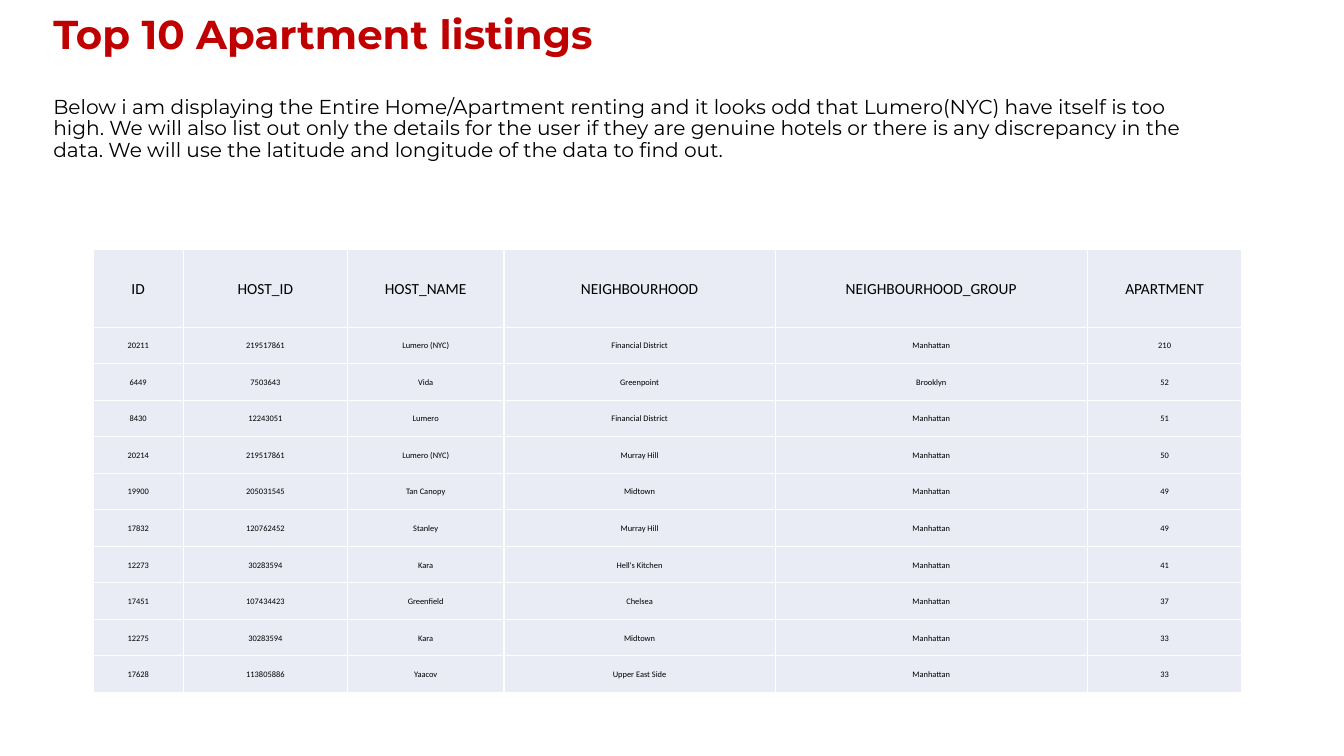
from dataclasses import dataclass
from lxml.etree import SubElement
from pptx import Presentation
from pptx.dml.color import RGBColor as RGB
from pptx.enum.text import MSO_ANCHOR as ANCHOR, PP_ALIGN as ALIGN
from pptx.oxml.ns import qn
from pptx.util import Pt

# Content
TITLE = "Top 10 Apartment listings"
INTRO = (
    "Below i am displaying the Entire Home/Apartment renting and it looks odd that "
    "Lumero(NYC) have itself is too high. We will also list out only the details for "
    "the user if they are genuine hotels or there is any discrepancy in the data. "
    "We will use the latitude and longitude of the data to find out."
)
HEADER = ("ID", "HOST_ID", "HOST_NAME", "NEIGHBOURHOOD", "NEIGHBOURHOOD_GROUP", "APARTMENT")
LISTINGS = [
    ("20211", "219517861", "Lumero (NYC)", "Financial District", "Manhattan", "210"),
    ("6449", "7503643", "Vida", "Greenpoint", "Brooklyn", "52"),
    ("8430", "12243051", "Lumero", "Financial District", "Manhattan", "51"),
    ("20214", "219517861", "Lumero (NYC)", "Murray Hill", "Manhattan", "50"),
    ("19900", "205031545", "Tan Canopy", "Midtown", "Manhattan", "49"),
    ("17832", "120762452", "Stanley", "Murray Hill", "Manhattan", "49"),
    ("12273", "30283594", "Kara", "Hell's Kitchen", "Manhattan", "41"),
    ("17451", "107434423", "Greenfield", "Chelsea", "Manhattan", "37"),
    ("12275", "30283594", "Kara", "Midtown", "Manhattan", "33"),
    ("17628", "113805886", "Yaacov", "Upper East Side", "Manhattan", "33"),
]

# Layout, in points
HEADING_BOX = (31, 10.8, 828, 104.4)
INTRO_GAP = 27.6
TABLE_LEFT, TABLE_TOP = 66.4, 178
COL_WIDTHS = (64.6, 117.2, 111.8, 193.8, 223, 110.4)
HEADER_HEIGHT, ROW_HEIGHT = 55.8, 26.1
CELL_INSET = 0.7


@dataclass(frozen=True)
class Theme:
    red: RGB = RGB(0xC0, 0x00, 0x00)
    black: RGB = RGB(0x00, 0x00, 0x00)
    cell: RGB = RGB(0xE9, 0xEB, 0xF5)
    border: str = "FFFFFF"
    heading_font: str = "Montserrat"
    table_font: str = "Calibri"
    title_size: float = 28.8
    intro_size: float = 14.4
    header_size: float = 11
    row_size: float = 6


THEME = Theme()


def style(p, name, size, color, bold=False):
    font = p.font
    font.name, font.size, font.bold = name, Pt(size), bold
    font.color.rgb = color


def add_borders(cell):
    tc_pr = cell._tc.get_or_add_tcPr()
    for side in ("lnL", "lnR", "lnT", "lnB"):
        ln = SubElement(tc_pr, qn(f"a:{side}"), w=str(Pt(1)))
        fill = SubElement(ln, qn("a:solidFill"))
        SubElement(fill, qn("a:srgbClr"), val=THEME.border)


def fill_cell(cell, text, size):
    add_borders(cell)
    cell.fill.solid()
    cell.fill.fore_color.rgb = THEME.cell
    cell.margin_left = cell.margin_right = cell.margin_top = Pt(CELL_INSET)
    cell.margin_bottom = 0
    cell.vertical_anchor = ANCHOR.MIDDLE
    p = cell.text_frame.paragraphs[0]
    p.text, p.alignment = text, ALIGN.CENTER
    style(p, THEME.table_font, size, THEME.black)


def add_heading(s):
    tf = s.shapes.add_textbox(*map(Pt, HEADING_BOX)).text_frame
    tf.word_wrap = True
    tf.vertical_anchor = ANCHOR.MIDDLE
    title, intro = tf.paragraphs[0], tf.add_paragraph()
    title.text, intro.text = TITLE, INTRO
    title.line_spacing = intro.line_spacing = 0.9
    intro.space_before = Pt(INTRO_GAP)
    style(title, THEME.heading_font, THEME.title_size, THEME.red, bold=True)
    style(intro, THEME.heading_font, THEME.intro_size, THEME.black)


def add_listings(s):
    rows = [HEADER, *LISTINGS]
    height = HEADER_HEIGHT + ROW_HEIGHT * len(LISTINGS)
    table = s.shapes.add_table(
        len(rows), len(HEADER), Pt(TABLE_LEFT), Pt(TABLE_TOP), Pt(sum(COL_WIDTHS)), Pt(height)
    ).table
    table.first_row = table.horz_banding = False
    for column, width in zip(table.columns, COL_WIDTHS):
        column.width = Pt(width)
    for i, row in enumerate(rows):
        table.rows[i].height = Pt(ROW_HEIGHT if i else HEADER_HEIGHT)
        for j, text in enumerate(row):
            fill_cell(table.cell(i, j), text, THEME.row_size if i else THEME.header_size)


def main():
    prs = Presentation()
    prs.slide_width, prs.slide_height = Pt(960), Pt(540)
    s = prs.slides.add_slide(prs.slide_layouts[6])
    add_heading(s)
    add_listings(s)
    prs.save("out.pptx")


if __name__ == "__main__":
    main()
